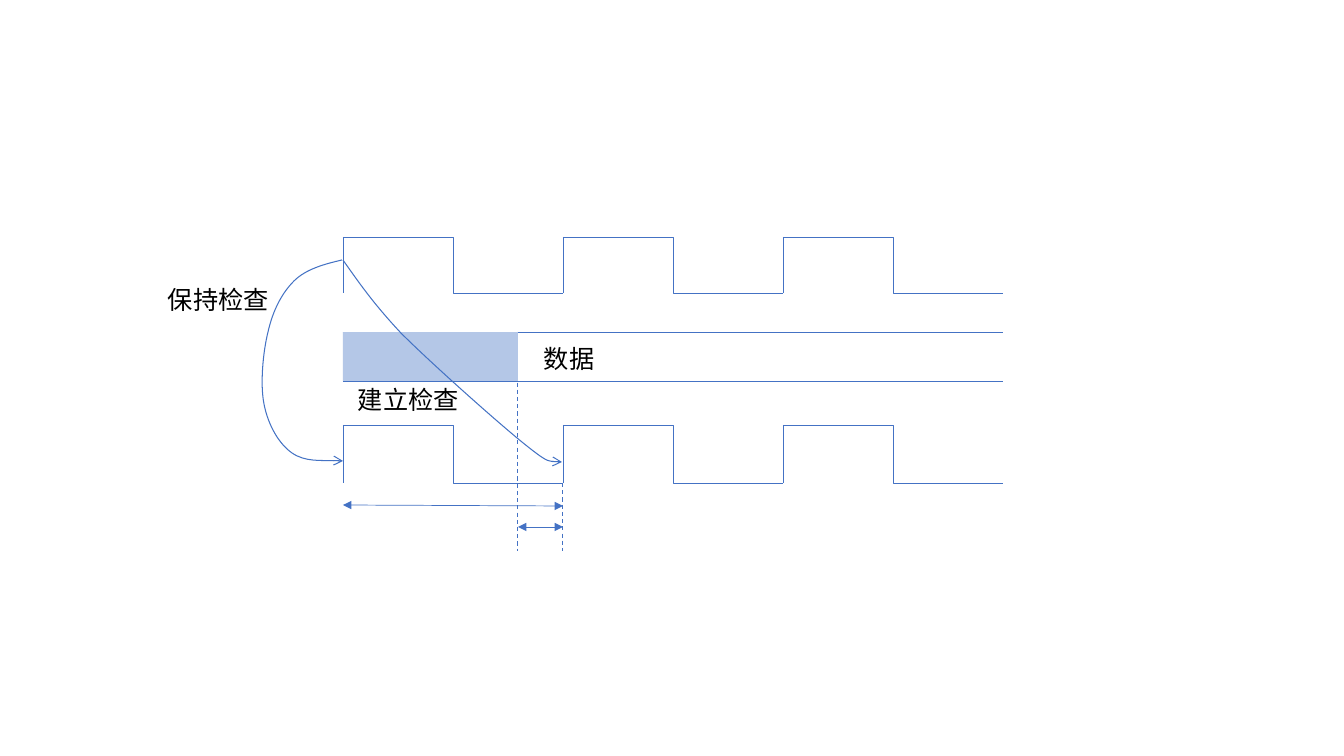
import pptx
import pptx.util
import pptx.dml.color
import pptx.enum.dml
import pptx.enum.shapes
import pptx.enum.text
import pptx.oxml.ns
from lxml import etree

PX = 914400 / 100.8
COLOURS = {"line": "4472C4", "invalid": "B4C7E7", "text": "000000"}
FONT = "Noto Sans CJK SC"
THIN, MEDIUM = 0.5, 0.75

PAGE_SIZE = (1344, 756)
CLOCK_LEFT, PERIOD, CYCLES = 343, 220, 3
CLOCK_ROWS = [(237, 293), (425, 483)]
CLOCK_RIGHT = CLOCK_LEFT + CYCLES * PERIOD
CAPTURE = CLOCK_LEFT + PERIOD
DATA_TOP, DATA_BOTTOM = 332, 381
DATA_VALID = 518
GUIDE_BOTTOM = 551

GUIDES = [(DATA_VALID, DATA_TOP), (CAPTURE, CLOCK_ROWS[1][1])]
SPANS = [
    (DATA_VALID, 527, CAPTURE, 527),
    (CLOCK_LEFT, 505, CAPTURE, 506),
]
LABELS = [
    ("数据", 534, 338, 72),
    ("保持检查", 158, 279, 122),
    ("建立检查", 348, 379, 122),
]
LABEL_HEIGHT = 40

# Each curve is a start point, then two control points and an end point per piece.
HOLD_CURVE = [
    (342, 260),
    (325, 264), (306, 269), (294, 281),
    (282, 293), (273, 310), (268, 332),
    (263, 352), (260, 384), (264, 404),
    (268, 425), (279, 444), (292, 453),
    (305, 462), (333, 460), (343, 461),
]
SETUP_CURVE = [
    (343, 260),
    (358, 281), (372, 302), (401, 333),
    (431, 363), (495, 420), (522, 442),
    (548, 463), (555, 463), (562, 462),
]

CONNECTOR = pptx.enum.shapes.MSO_CONNECTOR
qn = pptx.oxml.ns.qn


def emu(*lengths):
    return [round(length * PX) for length in lengths]


def colour(name):
    return pptx.dml.color.RGBColor.from_string(COLOURS[name])


def format_line(shape, width, dashed=False, head=None, tail=None):
    shape.line.color.rgb = colour("line")
    shape.line.width = pptx.util.Pt(width)
    if dashed:
        shape.line.dash_style = pptx.enum.dml.MSO_LINE.DASH
    outline = shape.line._get_or_add_ln()
    for tag, kind in (("a:headEnd", head), ("a:tailEnd", tail)):
        if kind:
            etree.SubElement(outline, qn(tag), type=kind)


def add_line(page, ends, width=THIN, kind=CONNECTOR.STRAIGHT, **style):
    line = page.shapes.add_connector(kind, *emu(*ends))
    format_line(line, width, **style)
    etree.SubElement(line._element.spPr, qn("a:effectLst"))


def add_curve(page, points):
    """Draw the points as an open Bezier curve ending in an arrow."""
    builder = page.shapes.build_freeform(*points[0], scale=PX)
    builder.add_line_segments(points[1:], close=False)
    curve = builder.convert_to_shape()
    curve.shadow.inherit = False
    curve.fill.background()
    format_line(curve, MEDIUM, tail="arrow")
    segments = list(curve._element.iter(qn("a:lnTo")))
    outline = segments[0].getparent()
    for first in range(0, len(segments), 3):
        bezier = etree.SubElement(outline, qn("a:cubicBezTo"))
        for segment in segments[first:first + 3]:
            bezier.append(segment[0])
            outline.remove(segment)


def add_label(page, text, left, top, width):
    box = page.shapes.add_textbox(*emu(left, top, width, LABEL_HEIGHT))
    frame = box.text_frame
    frame.word_wrap = False
    frame.auto_size = pptx.enum.text.MSO_AUTO_SIZE.SHAPE_TO_FIT_TEXT
    span = frame.paragraphs[0].add_run()
    span.text = text
    for name, value in {"size": pptx.util.Pt(18), "name": FONT}.items():
        setattr(span.font, name, value)
    span.font.color.rgb = colour("text")
    etree.SubElement(span.font._element, qn("a:ea"), typeface=FONT)


def main():
    deck = pptx.Presentation()
    deck.slide_width, deck.slide_height = emu(*PAGE_SIZE)
    page = deck.slides.add_slide(deck.slide_layouts[6])

    for high, low in CLOCK_ROWS:
        for cycle in range(CYCLES):
            left = CLOCK_LEFT + cycle * PERIOD
            add_line(page, (left, high, left, low))
            add_line(page, (left, high, left + PERIOD, low), kind=CONNECTOR.ELBOW)
    for edge in (DATA_TOP, DATA_BOTTOM):
        add_line(page, (CLOCK_LEFT, edge, CLOCK_RIGHT, edge))
    for x, top in GUIDES:
        add_line(page, (x, top, x, GUIDE_BOTTOM), MEDIUM, dashed=True)

    invalid = page.shapes.add_shape(
        pptx.enum.shapes.MSO_SHAPE.RECTANGLE,
        *emu(CLOCK_LEFT, DATA_TOP, DATA_VALID - CLOCK_LEFT, DATA_BOTTOM - DATA_TOP))
    invalid.shadow.inherit = False
    invalid.fill.solid()
    invalid.fill.fore_color.rgb = colour("invalid")
    invalid.line.fill.background()

    for curve in (HOLD_CURVE, SETUP_CURVE):
        add_curve(page, curve)
    for ends in SPANS:
        add_line(page, ends, head="triangle", tail="triangle")
    for label in LABELS:
        add_label(page, *label)

    deck.save("out.pptx")


if __name__ == "__main__":
    main()
